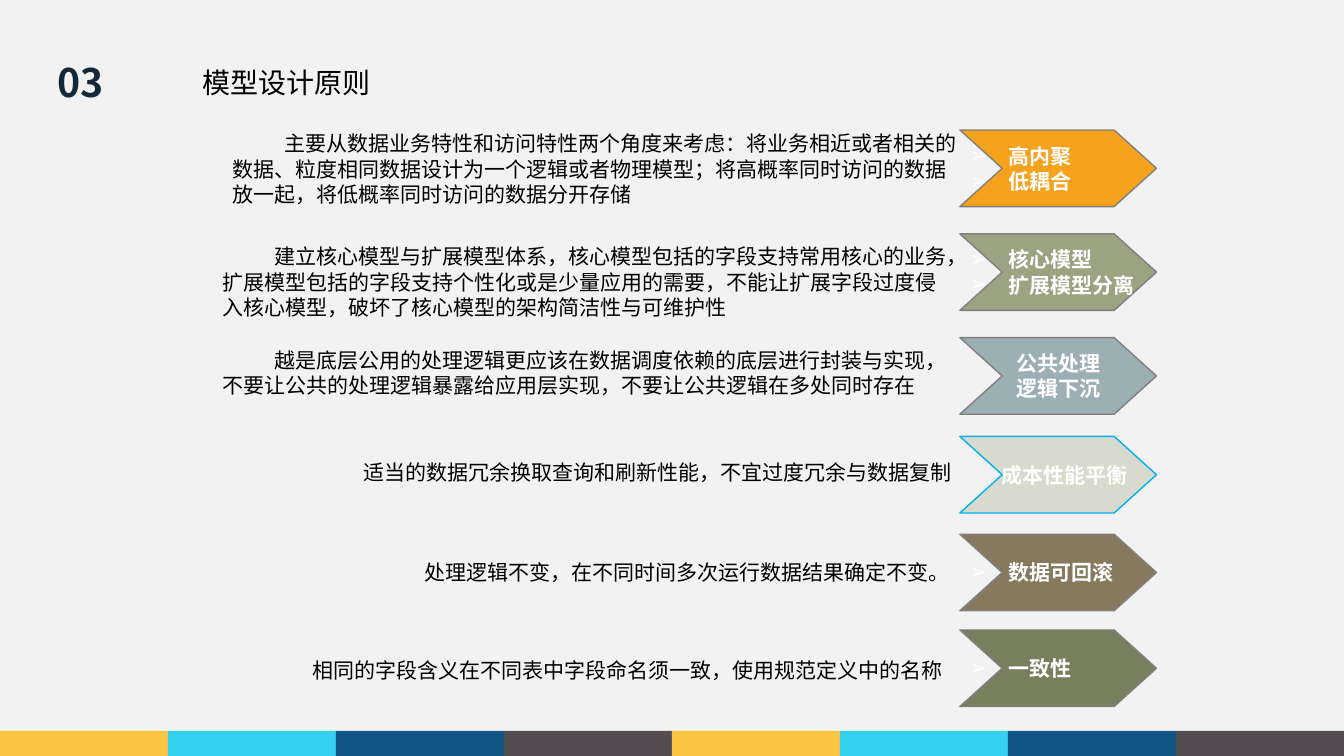
"""Build the slide on model design principles."""
from lxml.etree import SubElement
from pptx import Presentation
from pptx.dml.color import RGBColor as RGB
from pptx.enum.shapes import MSO_SHAPE as Shape
from pptx.enum.text import MSO_ANCHOR as Anchor, PP_ALIGN as Align
from pptx.oxml.ns import qn
from pptx.util import Inches, Pt

NOTO, CALI, ARIAL = "Noto Sans CJK SC", "Calibri", "Arial"
BLACK, WHITE = RGB(0, 0, 0), RGB(255, 255, 255)
NAVY, BACK = RGB(0x14, 0x29, 0x38), RGB(0xF2, 0xF2, 0xF2)
GRAY, BLUE = RGB(0x80, 0x80, 0x80), RGB(0x00, 0xB0, 0xF0)
BANDS = [RGB(0xFC, 0xC5, 0x40), RGB(0x35, 0xD1, 0xF1),
         RGB(0x11, 0x56, 0x86), RGB(0x55, 0x4C, 0x51)] * 2
ORANGE, SAGE = RGB(0xF6, 0xA2, 0x1D), RGB(0x9C, 0xA3, 0x83)
STEEL, PALE = RGB(0x9B, 0xAF, 0xB5), RGB(0xD7, 0xDA, 0xCD)
BROWN, OLIVE = RGB(0x87, 0x79, 0x5D), RGB(0x77, 0x7F, 0x5E)

# top, fill, line, font, bullet, indent, labels
ARROWS = [
    (1.29, ORANGE, GRAY, NOTO, True, 0.38, ["高内聚", "低耦合"]),
    (2.32, SAGE, GRAY, NOTO, True, 0.38, ["核心模型", "扩展模型分离"]),
    (3.35, STEEL, GRAY, CALI, False, 0, ["公共处理", "逻辑下沉"]),
    (4.33, PALE, BLUE, CALI, False, 0.12, ["成本性能平衡"]),
    (5.3, BROWN, GRAY, NOTO, True, 0.38, ["数据可回滚"]),
    (6.25, OLIVE, GRAY, CALI, True, 0.38, ["一致性"]),
]
LONG = [
    (2.21, 1.25, 0.86,
     "主要从数据业务特性和访问特性两个角度来考虑：将业务相近或者相关的数据、粒度相同数据设计为一个逻辑或者物理模型；将高概率同",
     "时访问的数据放一起，将低概率同时访问的数据分开存储"),
    (2.11, 2.37, 0.86,
     "建立核心模型与扩展模型体系，核心模型包括的字段支持常用核心的业务，扩展模型包括的字段支持个性化或是少量应用的需要，不能让扩展字段过度侵入核心",
     "模型，破坏了核心模型的架构简洁性与可维护性"),
    (2.11, 3.4, 0.61,
     "越是底层公用的处理逻辑更应该在数据调度依赖的底层进行封装与实现，不要",
     "让公共的处理逻辑暴露给应用层实现，不要让公共逻辑在多处同时存在"),
]
SHORT = [
    (2.13, 4.46, "适当的数据冗余换取查询和刷新性能，不宜过度冗余与数据复制"),
    (2.11, 5.45, "处理逻辑不变，在不同时间多次运行数据结果确定不变。"),
    (2.04, 6.42, "相同的字段含义在不同表中字段命名须一致，使用规范定义中的名称"),
]
WIDE, HIGH = 13.33, 7.5
LEFT, SPAN, TALL, NOTCH = 9.52, 1.95, 0.76, 0.42
BODY = 7.41


def write(para, text, face, size, color, bold=False, east=CALI):
    run = para.add_run()
    run.text = text
    font = run.font
    font.name, font.size, font.bold = face, Pt(size), bold
    font.color.rgb = color
    SubElement(run._r.get_or_add_rPr(), qn("a:ea")).set("typeface", east)


def indent(para, left, first):
    props = para._p.get_or_add_pPr()
    props.set("marL", str(Inches(left)))
    props.set("indent", str(Inches(first)))
    return props


def textbox(left, top, width, height, wrap=True):
    frame = slide.shapes.add_textbox(
        Inches(left), Inches(top), Inches(width), Inches(height)).text_frame
    frame.word_wrap = wrap
    return frame.paragraphs[0]


def arrow(top, fill, line, face, bullet, inset, labels):
    right, mid, base = LEFT + SPAN, top + TALL / 2, top + TALL
    spots = [(right - NOTCH, top), (right, mid), (right - NOTCH, base),
             (LEFT, base), (LEFT + NOTCH, mid)]
    pen = slide.shapes.build_freeform(Inches(LEFT), Inches(top))
    pen.add_line_segments([(Inches(x), Inches(y)) for x, y in spots])
    shape = pen.convert_to_shape()
    shape.shadow.inherit = False
    shape.fill.solid()
    shape.fill.fore_color.rgb = fill
    shape.line.color.rgb = line
    shape.line.width = Pt(1)
    frame = shape.text_frame
    frame.word_wrap = True
    frame.vertical_anchor = Anchor.MIDDLE
    for i, label in enumerate(labels):
        para = frame.add_paragraph() if i else frame.paragraphs[0]
        para.alignment = Align.LEFT if bullet else Align.CENTER
        props = indent(para, inset, -inset if bullet else 0)
        if bullet:
            SubElement(props, qn("a:buFont")).set("typeface", ARIAL)
            SubElement(props, qn("a:buChar")).set("char", "➢")
        write(para, label, face, 15, WHITE, True)


deck = Presentation()
deck.slide_width, deck.slide_height = Inches(WIDE), Inches(HIGH)
slide = deck.slides.add_slide(deck.slide_layouts[6])
slide.background.fill.solid()
slide.background.fill.fore_color.rgb = BACK

step = WIDE / len(BANDS)
for i, color in enumerate(BANDS):
    band = slide.shapes.add_shape(
        Shape.RECTANGLE, Inches(i * step), Inches(7.25), Inches(step), Inches(0.25))
    band.shadow.inherit = False
    band.fill.solid()
    band.fill.fore_color.rgb = color
    band.line.fill.background()

para = textbox(0.45, 0.53, 0.69, 0.57)
para.alignment = Align.CENTER
write(para, "03", NOTO, 28, NAVY, True)
write(textbox(1.91, 0.6, 1.88, 0.44, False), "模型设计原则", ARIAL, 20, BLACK, east=ARIAL)

for row in ARROWS:
    arrow(*row)
for left, top, height, head, tail in LONG:
    para = textbox(left, top, BODY, height)
    indent(para, 0, 0.51)
    write(para, head, NOTO, 15, BLACK)
    write(para, tail, CALI, 15, BLACK)
for left, top, text in SHORT:
    para = textbox(left, top, BODY, 0.37)
    para.alignment = Align.RIGHT
    para.line_spacing = 1.2
    write(para, text, CALI, 15, BLACK)

deck.save("out.pptx")
